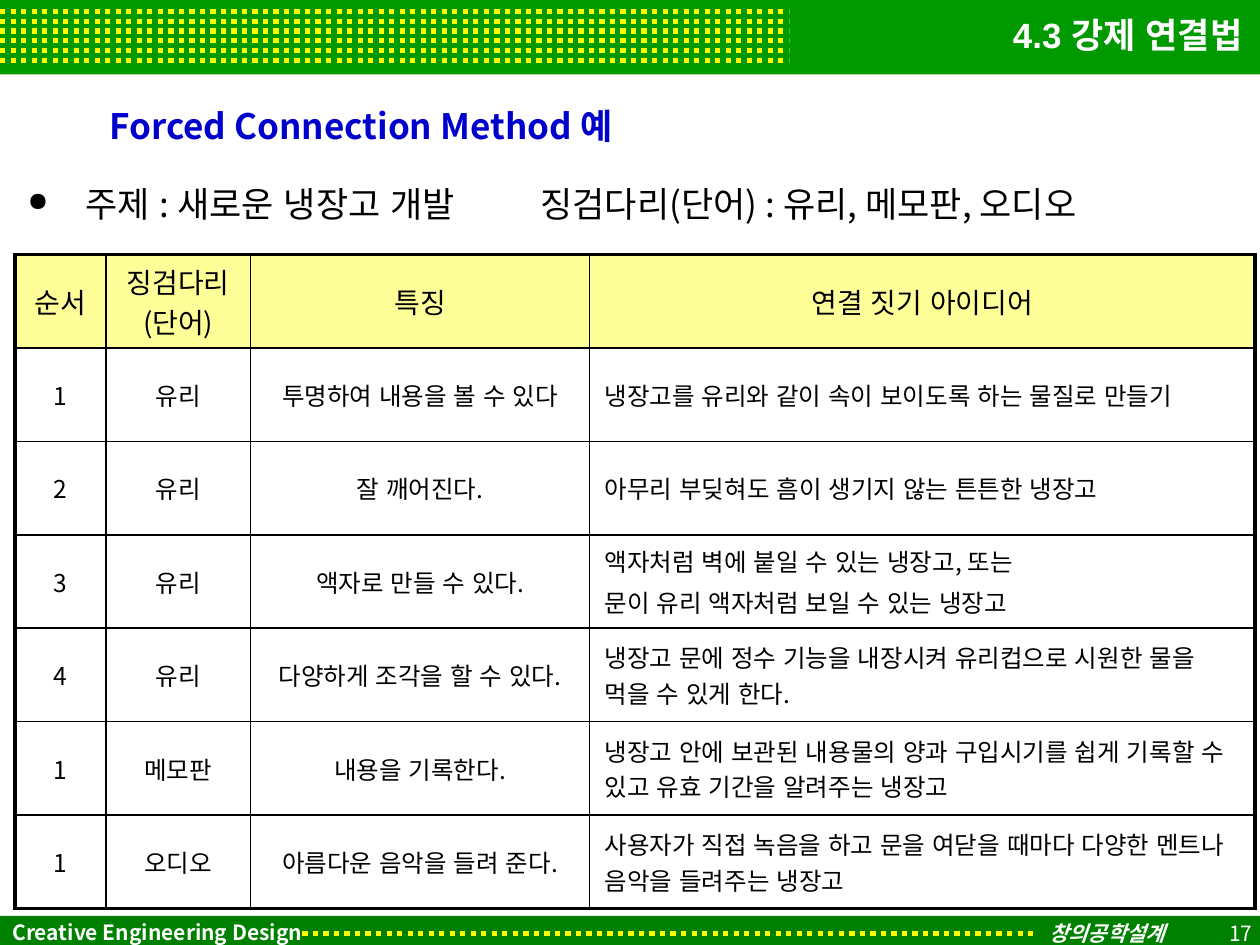
import dataclasses

import pptx
import pptx.dml.color
import pptx.enum.dml
import pptx.enum.lang
import pptx.enum.shapes
import pptx.enum.text
import pptx.oxml.ns
import pptx.util
from lxml import etree

Inches = pptx.util.Inches
Pt = pptx.util.Pt
qn = pptx.oxml.ns.qn
ALIGN = pptx.enum.text.PP_ALIGN
MIDDLE = pptx.enum.text.MSO_ANCHOR.MIDDLE
TOP = pptx.enum.text.MSO_ANCHOR.TOP


@dataclasses.dataclass(frozen=True)
class Theme:
    top: str = "009900"
    foot: str = "008000"
    dots: str = "FFFF00"
    head: str = "FFFF99"
    blue: str = "0000CC"
    white: str = "FFFFFF"
    black: str = "000000"
    sans: str = "Noto Sans CJK KR"
    arial: str = "Arial"
    big: int = 20
    mid: int = 16
    body: int = 14
    small: int = 12
    thin: float = 1
    thick: float = 2.25


THEME = Theme()

HEADS = ["순서", "징검다리(단어)", "특징", "연결 짓기 아이디어"]
IDEAS = [
    ("1", "유리", "투명하여 내용을 볼 수 있다",
     "냉장고를 유리와 같이 속이 보이도록 하는 물질로 만들기"),
    ("2", "유리", "잘 깨어진다.", "아무리 부딪혀도 흠이 생기지 않는 튼튼한 냉장고"),
    ("3", "유리", "액자로 만들 수 있다.",
     "액자처럼 벽에 붙일 수 있는 냉장고, 또는\n문이 유리 액자처럼 보일 수 있는 냉장고"),
    ("4", "유리", "다양하게 조각을 할 수 있다.",
     "냉장고 문에 정수 기능을 내장시켜 유리컵으로 시원한 물을 먹을 수 있게 한다."),
    ("1", "메모판", "내용을 기록한다.",
     "냉장고 안에 보관된 내용물의 양과 구입시기를 쉽게 기록할 수 있고 유효 기간을 알려주는 냉장고"),
    ("1", "오디오", "아름다운 음악을 들려 준다.",
     "사용자가 직접 녹음을 하고 문을 여닫을 때마다 다양한 멘트나 음악을 들려주는 냉장고"),
]


def rgb(code):
    return pptx.dml.color.RGBColor.from_string(code)


def write(frame, text, size=THEME.body, color=THEME.black, face=THEME.sans,
          bold=False, italic=False, align=ALIGN.LEFT, lines=None, gap=0,
          bullet=None, hang=0, tab=None):
    """Fill a text frame, one paragraph per line; hang and tab in inches."""
    for i, line in enumerate(text.split("\n")):
        para = frame.paragraphs[0] if i == 0 else frame.add_paragraph()
        para.alignment = align
        if lines:
            para.line_spacing = lines
        if i:
            para.space_before = Pt(gap)
        props = para._p.get_or_add_pPr()
        if bullet:
            props.set("marL", str(Inches(hang)))
            props.set("indent", str(-Inches(hang)))
            etree.SubElement(props, qn("a:buSzPct"), val="75000")
            etree.SubElement(props, qn("a:buChar"), char=bullet)
        if tab:
            stops = etree.SubElement(props, qn("a:tabLst"))
            etree.SubElement(stops, qn("a:tab"), pos=str(Inches(tab)), algn="l")
        run = para.add_run()
        run.text = line
        font = run.font
        font.size, font.bold, font.italic = Pt(size), bold, italic
        font.color.rgb = rgb(color)
        font.name = face
        font.language_id = pptx.enum.lang.MSO_LANGUAGE_ID.KOREAN
        props = run._r.get_or_add_rPr()
        props.set("kern", "0")
        etree.SubElement(props, qn("a:ea"), typeface=THEME.sans)


def label(slide, box, text, anchor=MIDDLE, **style):
    frame = slide.shapes.add_textbox(*map(Inches, box)).text_frame
    frame.word_wrap = True
    frame.vertical_anchor = anchor
    write(frame, text, **style)


def bar(slide, box, color):
    shape = slide.shapes.add_shape(
        pptx.enum.shapes.MSO_SHAPE.RECTANGLE, *map(Inches, box))
    shape.shadow.inherit = False
    shape.fill.solid()
    shape.fill.fore_color.rgb = rgb(color)
    shape.line.fill.background()
    return shape


def dots(slide, left, right, y):
    line = slide.shapes.add_connector(
        pptx.enum.shapes.MSO_CONNECTOR.STRAIGHT,
        Inches(left), Inches(y), Inches(right), Inches(y))
    line.line.color.rgb = rgb(THEME.dots)
    line.line.width = Pt(3)
    line.line.dash_style = pptx.enum.dml.MSO_LINE.ROUND_DOT
    etree.SubElement(line._element.spPr, qn("a:effectLst"))


def header(slide, box):
    left, top, width, _ = box
    bar(slide, box, THEME.top)
    for i in range(6):
        dots(slide, left, left + 6.26, top + 0.09 + 0.078 * i)
    label(slide, (left + 0.51, top, width - 0.55, 0.54), "4.3 강제 연결법",
          size=THEME.big, color=THEME.white, face=THEME.arial, bold=True,
          align=ALIGN.RIGHT)


def footer(slide, box):
    left, top, _, _ = box
    style = dict(size=THEME.small, color=THEME.white)
    frame = bar(slide, box, THEME.foot).text_frame
    frame.word_wrap = False
    frame.vertical_anchor = MIDDLE
    write(frame, "Creative Engineering Design", bold=True, **style)
    dots(slide, left + 2.4, left + 8.23, top + 0.14)
    label(slide, (left + 8.23, top + 0.02, 1.25, 0.23), "창의공학설계",
          face=THEME.arial, bold=True, italic=True, **style)
    label(slide, (left + 7.79, top - 0.09, 2.25, 0.4), "17",
          align=ALIGN.RIGHT, lines=1.3, **style)


def topic(slide, box):
    left, top, _, _ = box
    label(slide, (left + 0.65, top, 7.15, 0.54), "Forced Connection Method 예",
          anchor=TOP, size=THEME.big, color=THEME.blue, bold=True, lines=1.3)
    label(slide, (left, top + 0.72, 9.31, 0.55),
          "주제 : 새로운 냉장고 개발\t징검다리(단어) : 유리, 메모판, 오디오",
          anchor=TOP, size=THEME.big, bullet="●", hang=0.46, tab=4.07)


def edge(cell, sides):
    """Draw cell borders; sides maps L, R, T, B to widths in points."""
    props = cell._tc.get_or_add_tcPr()
    for i, (side, width) in enumerate(sides.items()):
        line = etree.Element(qn(f"a:ln{side}"), w=str(Pt(width)))
        fill = etree.SubElement(line, qn("a:solidFill"))
        etree.SubElement(fill, qn("a:srgbClr"), val=THEME.black)
        props.insert(i, line)


def grid(slide, box):
    rows = [HEADS, *IDEAS]
    widths = [0.72, 1.15, 2.69, 5.28]
    table = slide.shapes.add_table(
        len(rows), len(widths), *map(Inches, box)).table
    for col, width in zip(table.columns, widths):
        col.width = Inches(width)
    last, end = len(rows) - 1, len(widths) - 1
    for r, texts in enumerate(rows):
        table.rows[r].height = Inches(box[3] / len(rows))
        for c, text in enumerate(texts):
            cell = table.cell(r, c)
            idea = r > 0 and c == end
            cell.vertical_anchor = MIDDLE
            cell.margin_left = Inches(0.12)
            cell.margin_right = Inches(0.2 if idea else 0.12)
            cell.margin_top = cell.margin_bottom = Inches(0.05)
            if r == 0:
                cell.fill.solid()
                cell.fill.fore_color.rgb = rgb(THEME.head)
            else:
                cell.fill.background()
            outer = {"L": c == 0, "R": c == end, "T": r == 0, "B": r == last}
            edge(cell, {side: THEME.thick if out else THEME.thin
                        for side, out in outer.items()})
            write(cell.text_frame, text, gap=2.8,
                  size=THEME.body if r else THEME.mid,
                  align=ALIGN.LEFT if idea else ALIGN.CENTER)


def main():
    deck = pptx.Presentation()
    deck.slide_width, deck.slide_height = Inches(10), Inches(7.5)
    slide = deck.slides.add_slide(deck.slide_layouts[6])
    header(slide, (0, 0, 10, 0.59))
    footer(slide, (0, 7.27, 10, 0.26))
    topic(slide, (0.12, 0.68, 9.31, 1.27))
    grid(slide, (0.12, 2.02, 9.84, 5.19))
    deck.save("out.pptx")


if __name__ == "__main__":
    main()
